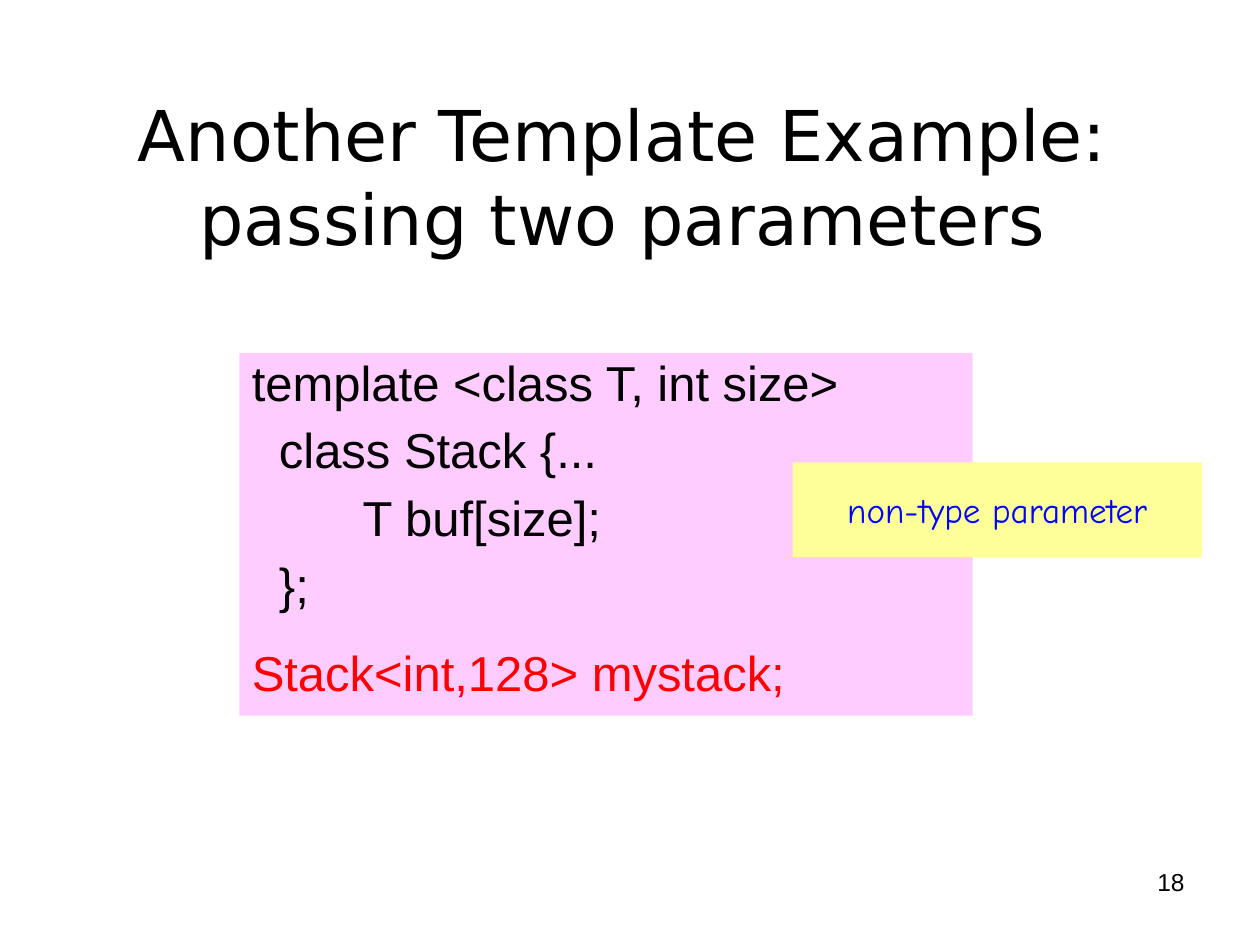
from pptx import Presentation
from pptx.dml.color import RGBColor
from pptx.enum.shapes import MSO_SHAPE as Shape
from pptx.enum.text import MSO_ANCHOR as Anchor, MSO_AUTO_SIZE as Fit, PP_ALIGN as Align
from pptx.oxml.ns import qn
from pptx.util import Inches, Pt
from lxml.etree import SubElement

BLACK = RGBColor(0, 0, 0)
RED = RGBColor(0xFF, 0, 0)
BLUE = RGBColor(0, 0, 0xFF)
PINK = RGBColor(0xFF, 0xCC, 0xFF)
YELLOW = RGBColor(0xFF, 0xFF, 0x99)


def style(para, name, size, color, align):
    para.alignment = align
    font = para.font
    font.name, font.size, font.color.rgb = name, Pt(size), color


def add_box(left, top, width, height, fill):
    box = slide.shapes.add_shape(
        Shape.RECTANGLE, Inches(left), Inches(top), Inches(width), Inches(height))
    box.shadow.inherit = False
    box.fill.solid()
    box.fill.fore_color.rgb = fill
    box.line.fill.background()
    return box.text_frame


prs = Presentation()
prs.slide_width, prs.slide_height = Inches(10), Inches(7.5)
slide = prs.slides.add_slide(prs.slide_layouts[5])

# Title
title = slide.shapes.title
title.left, title.top = Inches(0.65), Inches(0.77)
title.width, title.height = Inches(8.58), Inches(1.25)
frame = title.text_frame
frame.text = "Another Template Example: passing two parameters"
frame.auto_size = Fit.NONE
frame.vertical_anchor = Anchor.MIDDLE
style(frame.paragraphs[0], "DejaVu Sans", 40, BLACK, Align.CENTER)

# Code: text, colour, space before
lines = [
    ("template <class T, int size>", BLACK, 0),
    ("  class Stack {...", BLACK, 8.3),
    ("\t\tT buf[size];", BLACK, 8.3),
    ("  };", BLACK, 8.3),
    ("Stack<int,128> mystack;", RED, 20),
]
code = add_box(1.9, 2.8, 5.82, 2.88, PINK)
code.vertical_anchor = Anchor.TOP
code.word_wrap = True
code.text = "\n".join(text for text, _, _ in lines)
for para, (_, color, gap) in zip(code.paragraphs, lines):
    props = para._p.get_or_add_pPr()
    props.set("marL", str(Inches(0.38)))
    props.set("indent", str(-Inches(0.38)))
    tabs = SubElement(props, qn("a:tabLst"))
    for stop in range(8):
        SubElement(tabs, qn("a:tab"), pos=str(Inches(stop)), algn="l")
    style(para, "Arial", 28, color, Align.LEFT)
    para.line_spacing = 0.9
    para.space_before = Pt(gap)

# Callout
note = add_box(6.29, 3.67, 3.25, 0.75, YELLOW)
note.text = "non-type parameter"
note.word_wrap = False
note.vertical_anchor = Anchor.MIDDLE
style(note.paragraphs[0], "Comic Neue", 20, BLUE, Align.CENTER)

# Page number
page = slide.shapes.add_textbox(
    Inches(7.17), Inches(6.83), Inches(2.33), Inches(0.52)).text_frame
page.word_wrap = True
page.text = "18"
style(page.paragraphs[0], "Arial", 14, BLACK, Align.RIGHT)

prs.save("out.pptx")
